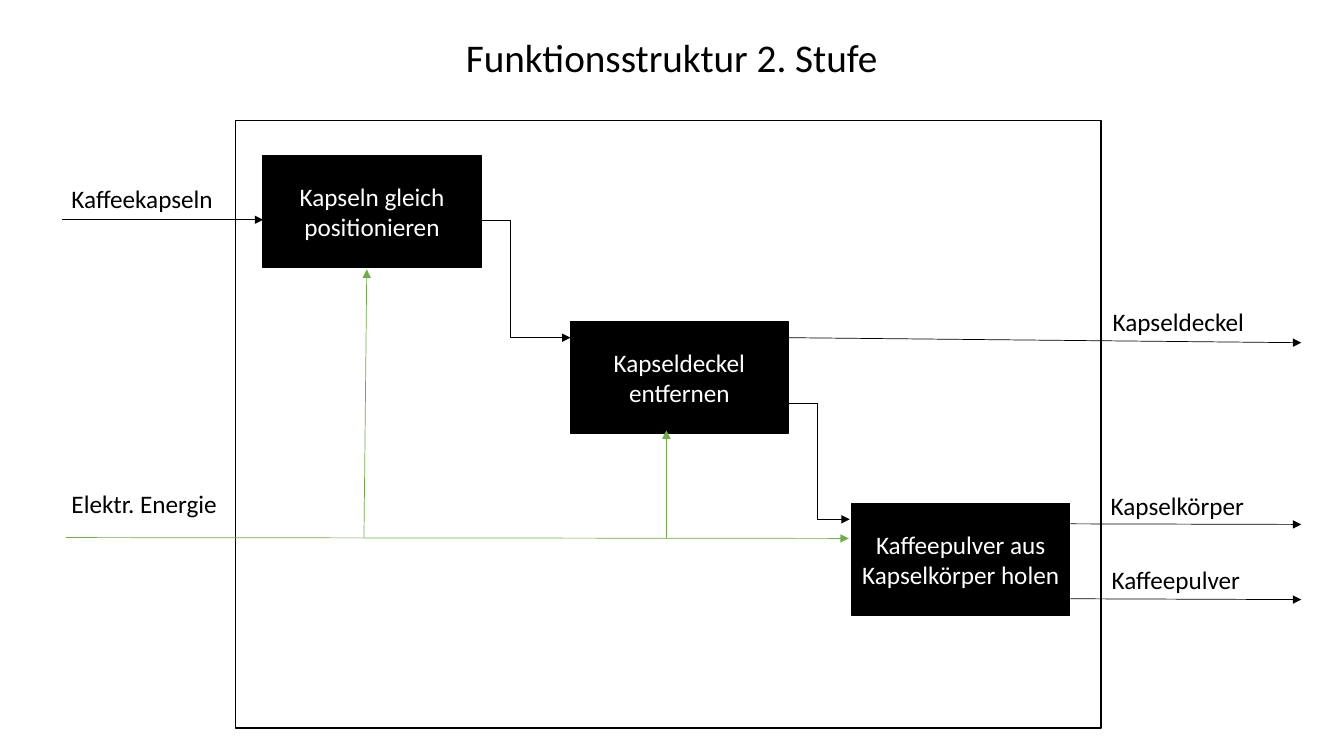
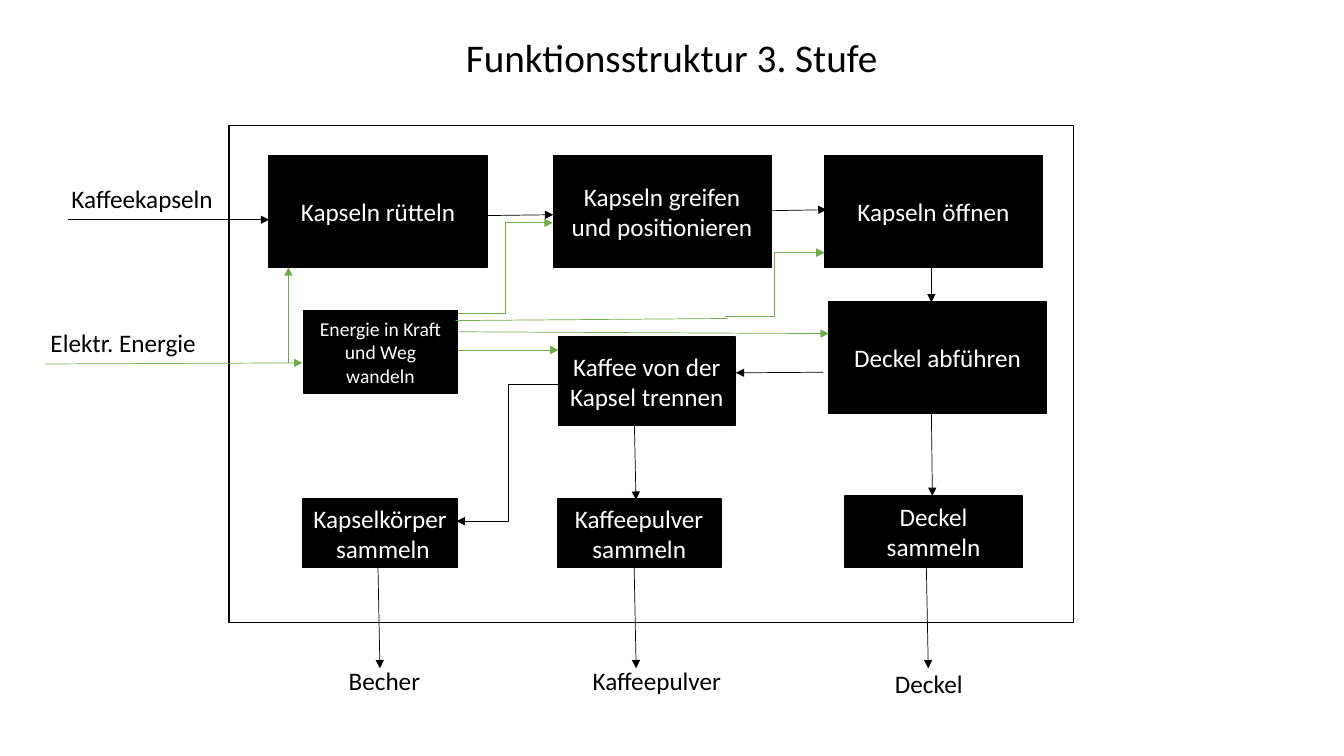
from pptx import Presentation
from pptx.dml.color import RGBColor as Rgb
from pptx.enum.shapes import MSO_CONNECTOR as Link, MSO_SHAPE as Form
from pptx.enum.text import MSO_ANCHOR as Anchor, MSO_AUTO_SIZE as Fit, PP_ALIGN as Align
from pptx.oxml.ns import qn
from pptx.util import Pt
from lxml.etree import SubElement as Sub

INK = {"black": "000000", "white": "FFFFFF", "green": "70AD47"}


class Chart:
    """Draws function diagrams with one shared style, in points."""

    font = "Calibri"
    size = 18
    block = (155.5, 80)

    def __init__(self):
        self.deck = Presentation()
        self.deck.slide_width, self.deck.slide_height = Pt(960), Pt(540)
        self.slide = None

    def page(self, title, *frame):
        self.slide = self.deck.slides.add_slide(self.deck.slide_layouts[6])
        self.label(title, 168, 20, 623.5, 41, 28, Align.CENTER)
        self.rect("white", *frame)

    def letter(self, shape, text, size, ink, align):
        frame = shape.text_frame
        frame.word_wrap = True
        para = frame.paragraphs[0]
        para.alignment = align
        run = para.add_run()
        run.text = text
        run.font.name, run.font.size = self.font, Pt(size)
        run.font.color.rgb = Rgb.from_string(INK[ink])
        return frame

    def label(self, text, x, y, wide=119.5, high=29, size=size, align=Align.LEFT):
        box = self.slide.shapes.add_textbox(Pt(x), Pt(y), Pt(wide), Pt(high))
        frame = self.letter(box, text, size, "black", align)
        frame.auto_size = Fit.SHAPE_TO_FIT_TEXT

    def rect(self, ink, x, y, wide, high):
        shape = self.slide.shapes.add_shape(Form.RECTANGLE, Pt(x), Pt(y), Pt(wide), Pt(high))
        shape.shadow.inherit = False
        shape.fill.solid()
        shape.fill.fore_color.rgb = Rgb.from_string(INK[ink])
        shape.line.color.rgb = Rgb.from_string(INK["black"])
        shape.line.width = Pt(1)
        return shape

    def step(self, text, x, y, wide=block[0], high=block[1], size=size):
        shape = self.rect("black", x, y, wide, high)
        frame = self.letter(shape, text, size, "white", Align.CENTER)
        frame.vertical_anchor = Anchor.MIDDLE

    def flow(self, *ends, ink="black", kind=Link.STRAIGHT, head=True):
        link = self.slide.shapes.add_connector(kind, *map(Pt, ends))
        link.line.color.rgb = Rgb.from_string(INK[ink])
        link.line.width = Pt(0.5)
        props = link.element.spPr
        if head:
            Sub(props.find(qn("a:ln")), qn("a:tailEnd"), type="triangle")
        Sub(props, qn("a:effectLst"))

    def bend(self, *ends, ink="black"):
        self.flow(*ends, ink=ink, kind=Link.ELBOW)

    def power(self, *ends, head=True):
        self.flow(*ends, ink="green", head=head)


def stage_two(art):
    art.page("Funktionsstruktur 2. Stufe", 168, 86, 618.5, 434)
    for text, x, y in (
        ("Kapseln gleich positionieren", 188, 111),
        ("Kaffeepulver aus Kapselkörper holen", 608.5, 359.5),
        ("Kapseldeckel entfernen", 407.5, 229.7),
    ):
        art.step(text, x, y)
    for text, x, y in (
        ("Kaffeekapseln", 44, 127.5),
        ("Elektr. Energie", 44, 345),
        ("Kapseldeckel", 787.7, 215.3),
        ("Kapselkörper", 786.3, 346.5),
        ("Kaffeepulver", 787, 399.6),
    ):
        art.label(text, x, y)
    for ends in (
        (44, 157, 188, 157),
        (563, 241.2, 929.5, 244.8),
        (764.5, 374.2, 929.5, 374.6),
        (764.5, 427.7, 929.5, 428.3),
    ):
        art.flow(*ends)
    art.bend(322, 157.5, 407.5, 241.2)
    art.bend(560.5, 288, 607, 371)
    for ends in (
        (47, 384, 606.3, 384.6),
        (260, 383.5, 262, 192.5),
        (476, 384.5, 476, 307.5),
    ):
        art.power(*ends)


def stage_three(art):
    art.page("Funktionsstruktur 3. Stufe", 163.5, 89.5, 603.5, 355)
    for text, *place in (
        ("Kapseln rütteln", 192.3, 111),
        ("Kapseln greifen und positionieren", 395.2, 111),
        ("Kapseln öffnen", 589, 111),
        ("Deckel abführen", 592, 215.5),
        ("Kaffee von der Kapsel trennen", 399, 240.5, 126, 63.5),
        ("Deckel sammeln", 603.5, 354.3, 126.7, 51),
        ("Kaffeepulver sammeln", 398.2, 356.4, 116.7, 49),
        ("Kapselkörper\u00a0sammeln", 216, 356.4, 111, 49),
        ("Energie in Kraft und Weg wandeln", 216.8, 221.8, 110, 59, 14),
    ):
        art.step(text, *place)
    for text, *place in (
        ("Kaffeekapseln", 44, 127.5),
        ("Elektr. Energie", 29, 230.5),
        ("Becher", 242, 471.6, 75),
        ("Kaffeepulver", 416.2, 471.6, 108.7),
        ("Deckel", 632.2, 473.8, 75),
    ):
        art.label(text, *place)
    for ends in (
        (48.5, 157, 192.3, 157),
        (347.8, 154, 395.2, 153.4),
        (551, 150.5, 590.4, 149.8),
        (665.3, 191.5, 665.3, 216),
        (665.3, 295.2, 666, 354.3),
        (453, 295.2, 454.3, 357),
        (588.2, 265.9, 525.6, 266.3),
    ):
        art.flow(*ends)
    for x in (270, 453, 661.7):
        art.flow(x, 405.4, x + 1.4, 477.4)
    art.bend(400.3, 274.5, 326.2, 372.3)
    art.bend(327, 223.8, 394.8, 159.2, ink="green")
    art.bend(517.7, 226.2, 589, 180.5, ink="green")
    art.power(325.5, 229, 519.8, 227.5, head=False)
    for ends in (
        (32.4, 260, 216, 259.2),
        (327.6, 237, 592, 238.3),
        (327, 250, 399, 250),
        (206, 259.2, 206, 191),
    ):
        art.power(*ends)


art = Chart()
stage_two(art)
stage_three(art)
art.deck.save("out.pptx")
